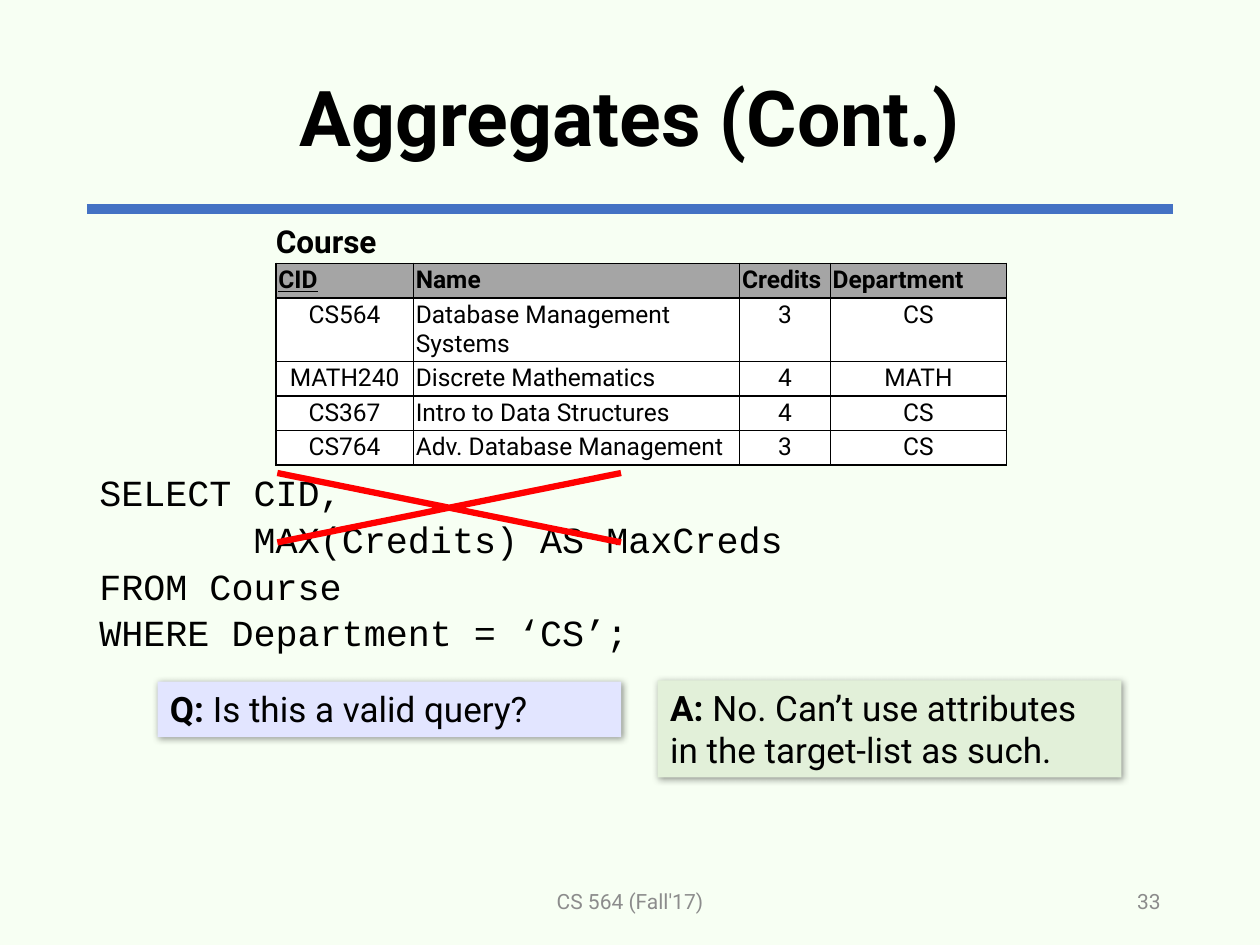
from dataclasses import dataclass

from lxml import etree
from pptx import Presentation
from pptx import util as u
from pptx.dml.color import RGBColor
from pptx.enum import shapes, text
from pptx.oxml.ns import qn

LEFT, CENTER, RIGHT = text.PP_ALIGN.LEFT, text.PP_ALIGN.CENTER, text.PP_ALIGN.RIGHT
TOP, MIDDLE = text.MSO_ANCHOR.TOP, text.MSO_ANCHOR.MIDDLE


@dataclass(frozen=True)
class Theme:
    """Colours, fonts and type sizes."""
    page: str = "F7FFF3"
    ink: str = "000000"
    muted: str = "8C8C8C"
    rule: str = "4472C4"
    header: str = "A5A5A5"
    cell: str = "FFFFFF"
    question: str = "E2E5FF"
    answer: str = "E2F0D9"
    cross: str = "FF0000"
    body_font: str = "Roboto"
    code_font: str = "Courier New"
    title_size: float = 44
    code_size: float = 21
    callout_size: float = 20
    label_size: float = 18
    table_size: float = 14
    footer_size: float = 12


THEME = Theme()

HEADINGS = ("CID", "Name", "Credits", "Department")
COURSES = (
    ("CS564", "Database Management Systems", "3", "CS"),
    ("MATH240", "Discrete Mathematics", "4", "MATH"),
    ("CS367", "Intro to Data Structures", "4", "CS"),
    ("CS764", "Adv. Database Management", "3", "CS"),
)
COLUMN_WIDTHS = (1.09, 2.59, 0.72, 1.4)
ROW_HEIGHTS = (0.27, 0.5, 0.27, 0.27, 0.27)

QUERY = (
    ("SELECT CID,", 0),
    ("MAX(Credits) AS MaxCreds", 7),
    ("FROM Course", 0),
    ("WHERE Department = ‘CS’;", 0),
)


def inches(*values):
    """Convert several lengths to inches."""
    return [u.Inches(value) for value in values]


def paint(fill, color):
    """Make a fill solid in one colour."""
    fill.solid()
    fill.fore_color.rgb = RGBColor.from_string(color)


def add_span(para, words, size, color=THEME.ink, font=THEME.body_font, bold=False):
    """Add one styled run to a paragraph."""
    span = para.add_run()
    span.text = words
    span.font.name = font
    span.font.size = u.Pt(size)
    span.font.bold = bold
    span.font.color.rgb = RGBColor.from_string(color)
    return span


def add_box(page, place, align=LEFT, anchor=TOP, wrap=True):
    """Add an empty text box and return its frame."""
    frame = page.shapes.add_textbox(*inches(*place)).text_frame
    frame.word_wrap = wrap
    frame.vertical_anchor = anchor
    frame.paragraphs[0].alignment = align
    return frame


def add_rule(page, left, right, top):
    """Draw the bar under the title."""
    rule = page.shapes.add_connector(
        shapes.MSO_CONNECTOR.STRAIGHT, *inches(left, top, right, top))
    rule.line.color.rgb = RGBColor.from_string(THEME.rule)
    rule.line.width = u.Pt(6)
    etree.SubElement(rule._element.spPr, qn("a:effectLst"))


def add_query(page, place):
    """Write the SQL query, indented by whole character widths."""
    frame = add_box(page, place)
    for index, (line, indent) in enumerate(QUERY):
        para = frame.add_paragraph() if index else frame.paragraphs[0]
        para.line_spacing = 1.06
        margin = u.Pt(indent * THEME.code_size * 0.6)
        para._p.get_or_add_pPr().set("marL", str(margin))
        add_span(para, line, THEME.code_size, font=THEME.code_font)


def add_borders(cell):
    """Draw a thin line on all four sides of a cell."""
    properties = cell._tc.get_or_add_tcPr()
    for side in ("lnL", "lnR", "lnT", "lnB"):
        line = etree.SubElement(properties, qn(f"a:{side}"), w=str(u.Pt(1)))
        fill = etree.SubElement(line, qn("a:solidFill"))
        etree.SubElement(fill, qn("a:srgbClr"), val=THEME.ink)


def add_course_table(page, left, top):
    """Add the table of courses."""
    rows = (HEADINGS, *COURSES)
    table = page.shapes.add_table(
        len(rows), len(HEADINGS),
        *inches(left, top, sum(COLUMN_WIDTHS), sum(ROW_HEIGHTS))).table
    for column, width in zip(table.columns, COLUMN_WIDTHS):
        column.width = u.Inches(width)
    for row, height in zip(table.rows, ROW_HEIGHTS):
        row.height = u.Inches(height)
    for row_index, values in enumerate(rows):
        heading = row_index == 0
        for column_index, value in enumerate(values):
            cell = table.cell(row_index, column_index)
            cell.margin_left = cell.margin_right = u.Inches(0.02)
            cell.margin_top = cell.margin_bottom = u.Inches(0.02)
            add_borders(cell)
            paint(cell.fill, THEME.header if heading else THEME.cell)
            para = cell.text_frame.paragraphs[0]
            para.alignment = LEFT if heading or column_index == 1 else CENTER
            span = add_span(para, value, THEME.table_size, bold=heading)
            span.font.underline = heading and column_index == 0


def add_filled_shape(page, kind, place, color):
    """Add a preset shape with a plain fill and no outline."""
    shape = page.shapes.add_shape(kind, *inches(*place))
    shape.shadow.inherit = False
    paint(shape.fill, color)
    shape.line.fill.background()
    return shape


def add_callout(page, place, color, lead, words):
    """Add a shadowed box with a bold lead-in."""
    box = add_filled_shape(page, shapes.MSO_SHAPE.RECTANGLE, place, color)
    effects = box._element.spPr.find(qn("a:effectLst"))
    shadow = etree.SubElement(
        effects, qn("a:outerShdw"), blurRad=str(u.Pt(4)), dist=str(u.Pt(1)),
        dir="2700000", algn="tl", rotWithShape="0")
    tint = etree.SubElement(shadow, qn("a:srgbClr"), val=THEME.ink)
    etree.SubElement(tint, qn("a:alpha"), val="40000")
    frame = box.text_frame
    frame.word_wrap = True
    frame.vertical_anchor = TOP
    para = frame.paragraphs[0]
    para.alignment = LEFT
    add_span(para, lead, THEME.callout_size, bold=True)
    add_span(para, words, THEME.callout_size)


def main():
    """Build the slide and save it."""
    deck = Presentation()
    deck.slide_width, deck.slide_height = inches(10, 7.5)
    page = deck.slides.add_slide(deck.slide_layouts[6])
    paint(page.background.fill, THEME.page)

    add_rule(page, 0.69, 9.31, 1.66)
    title = add_box(page, (0.69, 0.24, 8.62, 1.45), CENTER, MIDDLE).paragraphs[0]
    title.line_spacing = 0.9
    add_span(title, "Aggregates (Cont.)", THEME.title_size, bold=True)

    footers = (("CS 564 (Fall'17)", 3.31, 3.38, CENTER), ("33", 7.06, 2.25, RIGHT))
    for words, left, width, align in footers:
        frame = add_box(page, (left, 6.95, width, 0.4), align, MIDDLE)
        add_span(frame.paragraphs[0], words, THEME.footer_size, THEME.muted)

    add_query(page, (0.69, 3.66, 6, 1.55))
    add_course_table(page, 2.19, 2.09)
    label = add_box(page, (2.09, 1.71, 1.01, 0.4), wrap=False)
    add_span(label.paragraphs[0], "Course", THEME.label_size, bold=True)

    add_callout(page, (1.25, 5.41, 3.68, 0.44), THEME.question,
                "Q: ", "Is this a valid query?")
    add_callout(page, (5.22, 5.4, 3.68, 0.77), THEME.answer,
                "A: ", "No. Can’t use attributes in the target-list as such.")
    cross = add_filled_shape(page, shapes.MSO_SHAPE.MATH_MULTIPLY,
                             (0.94, 3.5, 5.25, 1.06), THEME.cross)
    cross.adjustments[0] = 0.047
    deck.save("out.pptx")


if __name__ == "__main__":
    main()
